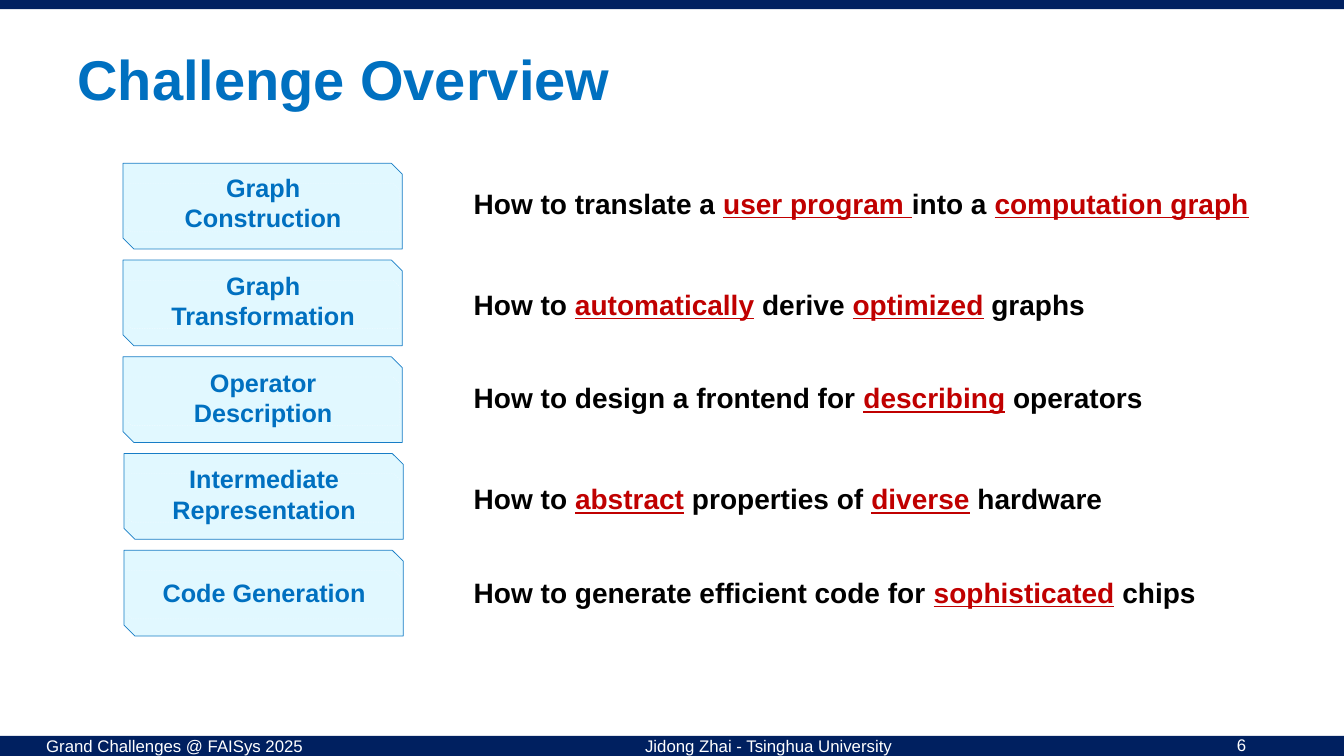
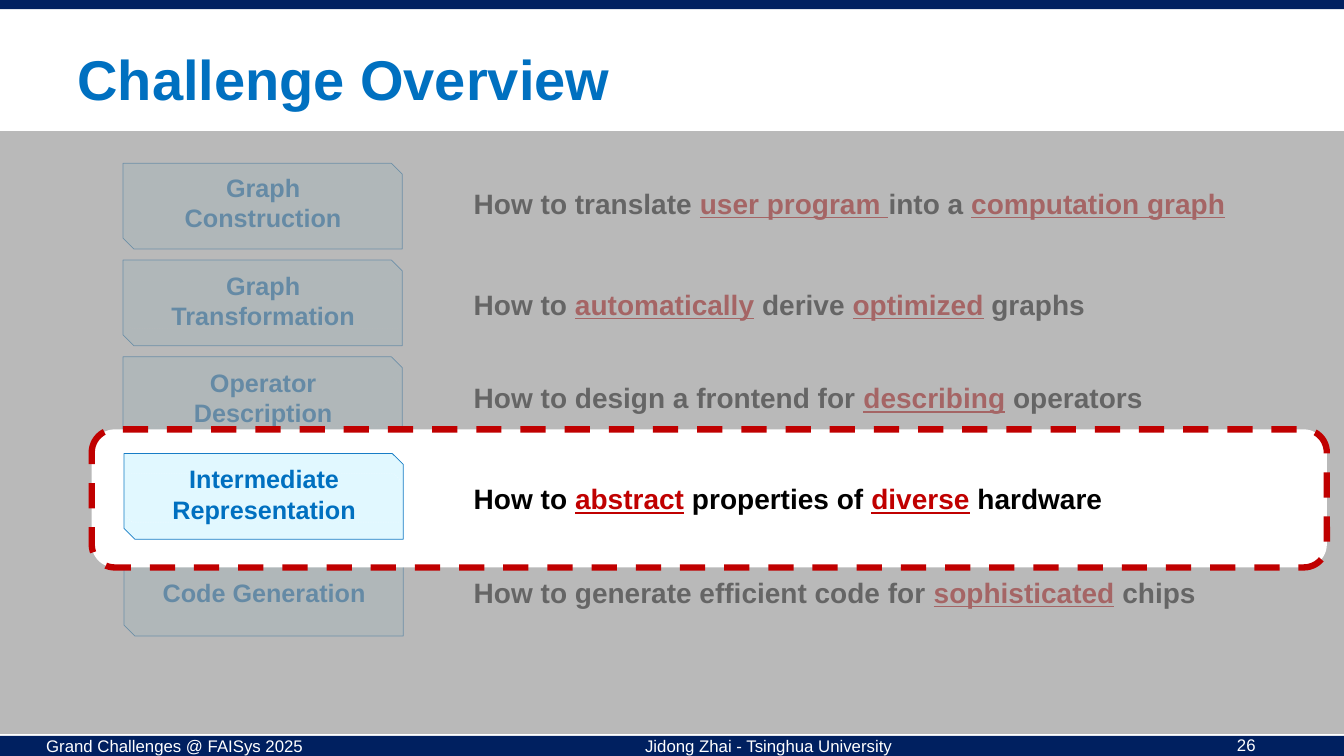
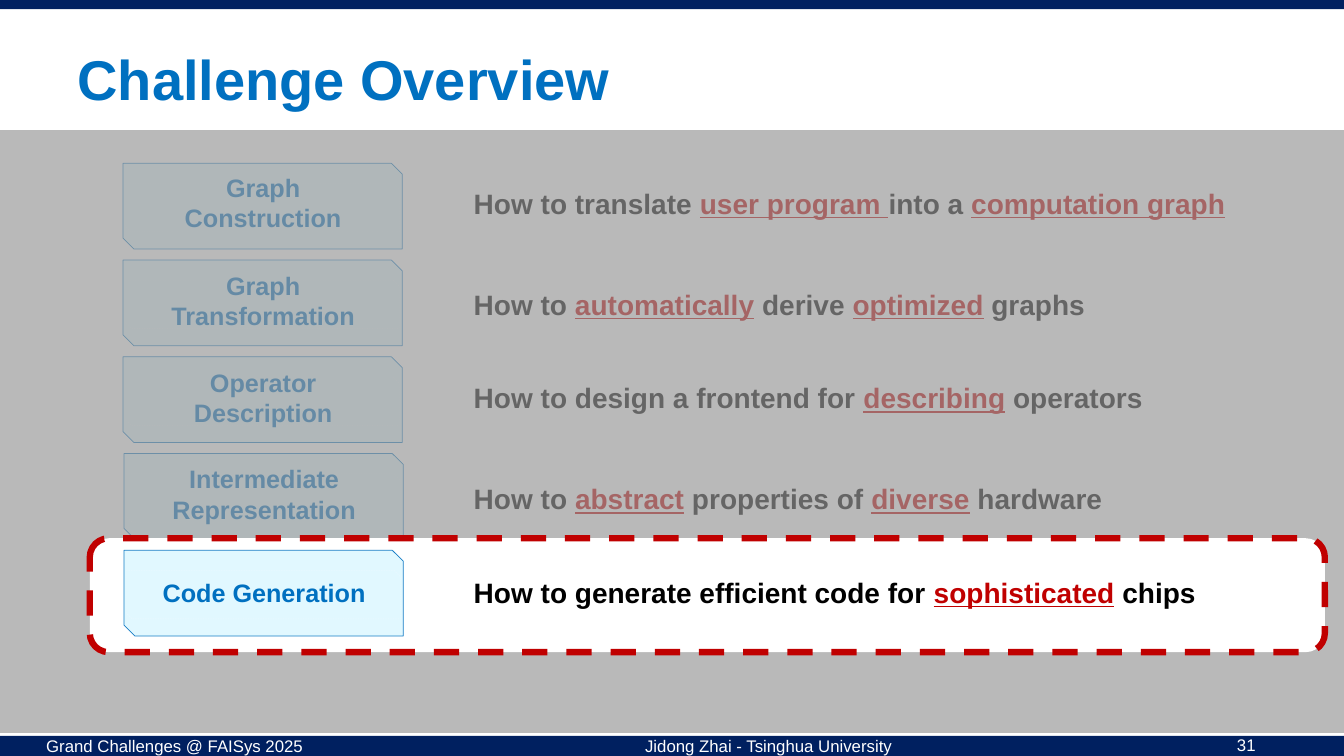
import dataclasses
from typing import Optional

import lxml.etree
import pptx
import pptx.dml.color
import pptx.enum.dml
import pptx.enum.shapes
import pptx.enum.text
import pptx.oxml.ns
import pptx.shapes.autoshape
import pptx.shapes.shapetree
import pptx.slide
import pptx.text.text
import pptx.util

Inches = pptx.util.Inches
Preset = pptx.enum.shapes.MSO_SHAPE
Align = pptx.enum.text.PP_ALIGN

FONT = "Arial"
COLORS = {
    "navy": "002060",
    "blue": "0070C0",
    "ice": "D5F6FF",
    "red": "C00000",
    "gray": "989898",
    "black": "000000",
    "white": "FFFFFF",
}
SLIDE_WIDTH, SLIDE_HEIGHT = 13.33, 7.5
FIRST_PLATE_TOP, PLATE_PITCH = 1.62, 0.96
PLATE_WIDTH, PLATE_HEIGHT = 2.77, 0.85
QUESTION_LEFT = 4.6


@dataclasses.dataclass(frozen=True)
class Box:
    left: float
    top: float
    width: float
    height: float

    def lengths(self) -> tuple[int, ...]:
        return tuple(Inches(side) for side in dataclasses.astuple(self))


@dataclasses.dataclass(frozen=True)
class Paint:
    color: str
    opacity: int = 100


@dataclasses.dataclass(frozen=True)
class Outline:
    paint: Paint
    points: float
    dashed: bool = False


@dataclasses.dataclass(frozen=True)
class Stage:
    label: str
    plate_left: float
    label_drop: float
    label_height: float
    question_top: float
    question_width: float
    question: tuple[str, ...]


@dataclasses.dataclass(frozen=True)
class Overview:
    number: int
    stages: tuple[Stage, ...]
    focus: Optional[int] = None
    veil: Optional[Box] = None
    spotlight: Optional[Box] = None


STAGES = (
    Stage("Graph Construction", 1.22, 0.04, 0.71, 1.8, 7.71,
          ("How to translate ", "user program ", "into a ", "computation graph")),
    Stage("Graph Transformation", 1.22, 0.05, 0.71, 2.8, 6.3,
          ("How to ", "automatically", " derive ", "optimized", " graphs")),
    Stage("Operator Description", 1.22, 0.05, 0.71, 3.73, 6.88,
          ("How to design a frontend for ", "describing", " operators")),
    Stage("Intermediate Representation", 1.23, 0.05, 0.71, 4.73, 6.48,
          ("How to ", "abstract", " properties of ", "diverse", " hardware")),
    Stage("Code Generation", 1.23, 0.22, 0.4, 5.66, 7.41,
          ("How to generate efficient code for ", "sophisticated", " chips")),
)
OPENING_CONSTRUCTION = dataclasses.replace(
    STAGES[0],
    question_width=7.94,
    question=("How to translate a ", *STAGES[0].question[1:]),
)
OVERVIEWS = (
    Overview(6, (OPENING_CONSTRUCTION, *STAGES[1:])),
    Overview(26, STAGES, 3, Box(0, 1.3, SLIDE_WIDTH, 5.98), Box(0.91, 4.26, 12.25, 1.37)),
    Overview(31, STAGES, 4, Box(0, 1.29, SLIDE_WIDTH, 5.98), Box(0.89, 5.34, 12.25, 1.13)),
)


def rgb(name: str) -> pptx.dml.color.RGBColor:
    return pptx.dml.color.RGBColor.from_string(COLORS[name])


def set_opacity(shape: pptx.shapes.autoshape.Shape, color_query: str, percent: int) -> None:
    if percent < 100:
        for color in shape.element.spPr.xpath(color_query):
            alpha = lxml.etree.SubElement(color, pptx.oxml.ns.qn("a:alpha"))
            alpha.set("val", str(percent * 1000))


def add_panel(
    shapes: pptx.shapes.shapetree.GroupShapes | pptx.shapes.shapetree.SlideShapes,
    preset: pptx.enum.shapes.MSO_SHAPE,
    box: Box,
    fill: Optional[Paint] = None,
    outline: Optional[Outline] = None,
) -> pptx.shapes.autoshape.Shape:
    panel = shapes.add_shape(preset, *box.lengths())
    panel.shadow.inherit = False
    if fill:
        panel.fill.solid()
        panel.fill.fore_color.rgb = rgb(fill.color)
        set_opacity(panel, "./a:solidFill/a:srgbClr", fill.opacity)
    else:
        panel.fill.background()
    if outline:
        panel.line.color.rgb = rgb(outline.paint.color)
        panel.line.width = pptx.util.Pt(outline.points)
        if outline.dashed:
            panel.line.dash_style = pptx.enum.dml.MSO_LINE.DASH
        set_opacity(panel, "./a:ln/a:solidFill/a:srgbClr", outline.paint.opacity)
    else:
        panel.line.fill.background()
    return panel


def add_run(
    paragraph: pptx.text.text._Paragraph,
    text: str,
    size: int,
    color: str,
    bold: bool = True,
    underline: bool = False,
) -> None:
    run = paragraph.add_run()
    run.text = text
    run.font.name = FONT
    run.font.size = pptx.util.Pt(size)
    run.font.color.rgb = rgb(color)
    run.font.bold = bold
    run.font.underline = underline


def add_text_frame(
    shapes: pptx.shapes.shapetree.GroupShapes | pptx.shapes.shapetree.SlideShapes,
    box: Box,
    wrap: bool = True,
    grow: bool = True,
) -> pptx.text.text.TextFrame:
    frame = shapes.add_textbox(*box.lengths()).text_frame
    frame.word_wrap = wrap
    sizing = pptx.enum.text.MSO_AUTO_SIZE
    frame.auto_size = sizing.SHAPE_TO_FIT_TEXT if grow else sizing.NONE
    return frame


def add_frame_parts(slide: pptx.slide.Slide, number: int) -> None:
    for band in (Box(0, 7.3, SLIDE_WIDTH, 0.2), Box(0, -0.02, SLIDE_WIDTH, 0.11)):
        add_panel(slide.shapes, Preset.RECTANGLE, band, Paint("navy"))
    footers = (
        ("Grand Challenges @ FAISys 2025", Box(0.36, 7.25, 2.94, 0.3), True),
        ("Jidong Zhai - Tsinghua University", Box(6.3, 7.25, 2.77, 0.3), True),
        (str(number), Box(12.17, 7.24, 1.17, 0.23), False),
    )
    for text, box, grow in footers:
        footer = add_text_frame(slide.shapes, box, grow=grow)
        add_run(footer.paragraphs[0], text, 12, "white", bold=False)

    title = add_text_frame(slide.shapes, Box(0.67, 0.45, 11.75, 0.73), grow=False)
    title.vertical_anchor = pptx.enum.text.MSO_ANCHOR.MIDDLE
    title.paragraphs[0].line_spacing = 0.9
    add_run(title.paragraphs[0], "Challenge Overview", 40, "blue")


def add_stage(slide: pptx.slide.Slide, stage: Stage, row: int) -> None:
    left, top = stage.plate_left, FIRST_PLATE_TOP + row * PLATE_PITCH
    plate_parts = slide.shapes.add_group_shape().shapes
    plate = add_panel(
        plate_parts, Preset.SNIP_2_DIAG_RECTANGLE, Box(left, top, PLATE_WIDTH, PLATE_HEIGHT),
        Paint("ice", 70), Outline(Paint("blue", 90), 0.5),
    )
    inset = add_panel(
        plate_parts, Preset.SNIP_2_DIAG_RECTANGLE, Box(left + 0.02, top + 0.2, 2.72, 0.48),
        outline=Outline(Paint("white", 50), 0.25, dashed=True),
    )
    for snipped in (plate, inset):
        snipped.adjustments[0] = 0
        snipped.adjustments[1] = 0.127

    label_box = Box(left + 0.12, top + stage.label_drop, 2.54, stage.label_height)
    label = add_text_frame(plate_parts, label_box).paragraphs[0]
    label.alignment = Align.CENTER
    add_run(label, stage.label, 18, "blue")

    question_box = Box(QUESTION_LEFT, stage.question_top, stage.question_width, 0.44)
    question = add_text_frame(slide.shapes, question_box, wrap=False).paragraphs[0]
    for position, phrase in enumerate(stage.question):
        is_key = position % 2 == 1
        add_run(question, phrase, 20, "red" if is_key else "black", underline=is_key)


def add_overview(deck: pptx.presentation.Presentation, overview: Overview) -> None:
    slide = deck.slides.add_slide(deck.slide_layouts[6])
    add_frame_parts(slide, overview.number)
    for row, stage in enumerate(overview.stages):
        if row != overview.focus:
            add_stage(slide, stage, row)
    if overview.focus is not None:
        add_panel(slide.shapes, Preset.RECTANGLE, overview.veil, Paint("gray", 67))
        add_panel(
            slide.shapes, Preset.ROUNDED_RECTANGLE, overview.spotlight,
            Paint("white"), Outline(Paint("red"), 4.5, dashed=True),
        )
        add_stage(slide, overview.stages[overview.focus], overview.focus)


def main() -> None:
    deck = pptx.Presentation()
    deck.slide_width = Inches(SLIDE_WIDTH)
    deck.slide_height = Inches(SLIDE_HEIGHT)
    for overview in OVERVIEWS:
        add_overview(deck, overview)
    deck.save("out.pptx")


if __name__ == "__main__":
    main()
